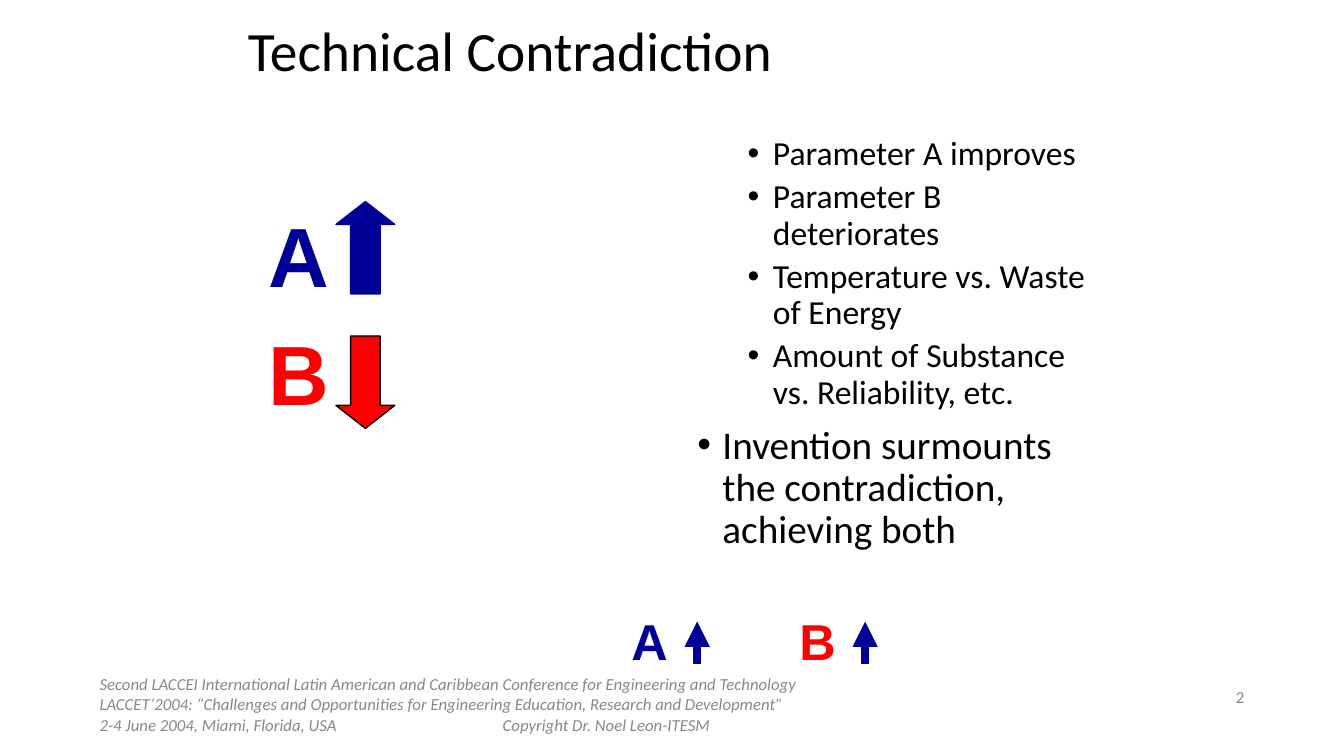
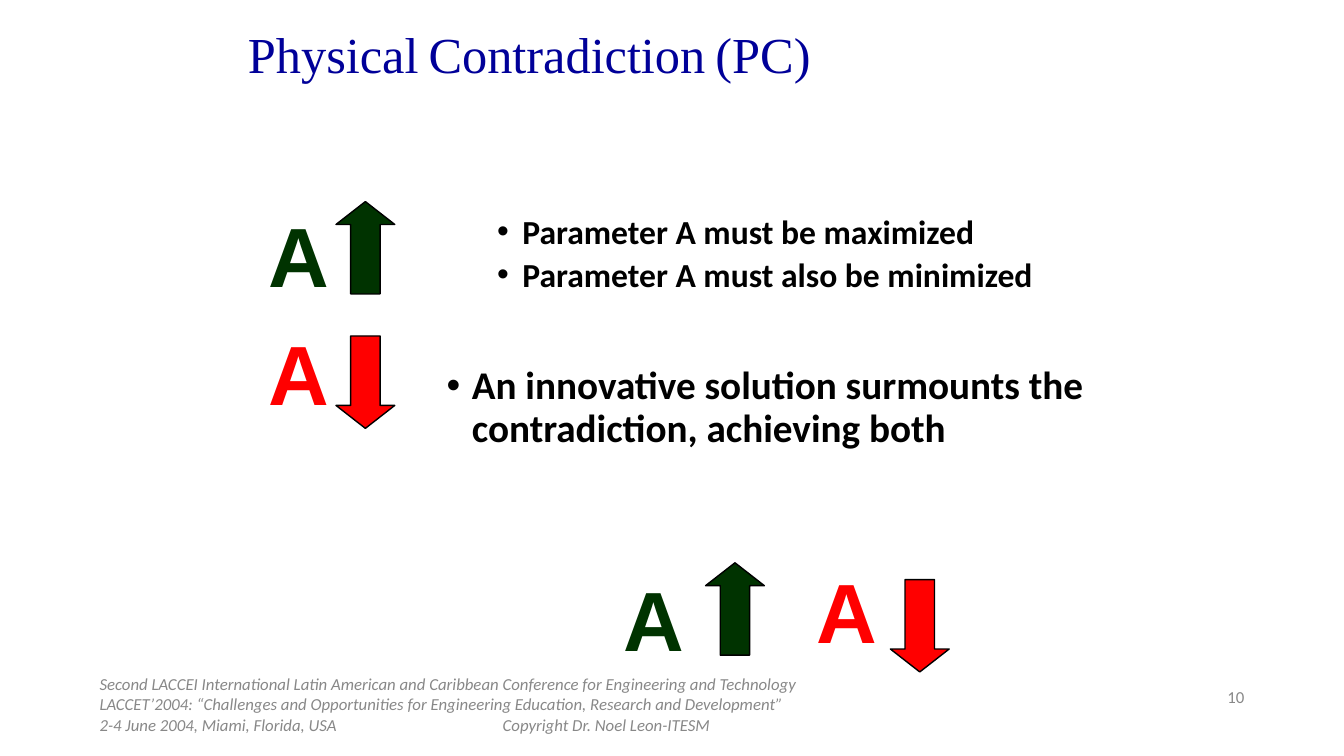
from lxml import etree
from pptx import Presentation
from pptx.dml.color import RGBColor
from pptx.enum.shapes import MSO_CONNECTOR, MSO_SHAPE
from pptx.enum.text import MSO_ANCHOR as ANCHOR, PP_ALIGN as ALIGN
from pptx.oxml.ns import qn
from pptx.util import Pt

BLACK, GRAY = "000000", "888888"
BLUE, GREEN, RED = "000099", "003300", "FF0000"
BODY_FONT, LETTER_FONT, SERIF_FONT = "Calibri", "Arial", "Times New Roman"

FOOTER = [
    "Second LACCEI International Latin American and Caribbean Conference "
    "for Engineering and Technology",
    "LACCET’2004: “Challenges and Opportunities for Engineering Education, "
    "Research and Development”",
    "2-4 June 2004, Miami, Florida, USA\t\tCopyright Dr. Noel Leon-ITESM",
]
FOOTER_TABS = (216, 288)
ARROW_SIZE = (42, 66)
BULLET_INDENT = 18
# Bullet level: (left margin, text size)
LEVELS = {0: (18, 28), 1: (54, 24)}

# Titles: runs of (text, size); bullets: (level, space before, text)
# Letters: (text, colour, size, left, top); block arrows: (direction, fill, line, left, top)
# Line arrows: (x, bottom, top)
SLIDES = [
    {
        "number": "2",
        "title": {"box": (170, 11, 652, 54), "anchor": ANCHOR.MIDDLE, "spacing": 0.9,
                  "font": BODY_FONT, "color": BLACK,
                  "runs": [("Technical Contradiction", 39.6)]},
        "body": {"box": (491, 94, 300, 324), "bold": False, "bullets": [
            (1, 0, "Parameter A improves"),
            (1, 5, "Parameter B deteriorates"),
            (1, 5, "Temperature vs. Waste of Energy"),
            (1, 5, "Amount of Substance vs. Reliability, etc."),
            (0, 10, "Invention surmounts the contradiction, achieving both"),
        ]},
        "letters": [("A", BLUE, 60, 185, 142), ("B", RED, 60, 185, 226),
                    ("A", BLUE, 36, 444, 432), ("B", RED, 36, 564, 432)],
        "block_arrows": [("up", BLUE, BLUE, 240, 144), ("down", RED, BLACK, 240, 240)],
        "line_arrows": [(498, 474, 444), (618, 474, 444)],
    },
    {
        "number": "10",
        "title": {"box": (170, -27, 666, 90), "anchor": ANCHOR.BOTTOM, "spacing": 1.0,
                  "font": SERIF_FONT, "color": BLUE,
                  "runs": [("Physical", 36), (" ", 28), ("Contradiction", 36),
                           (" ", 28), ("(PC)", 36)]},
        "body": {"box": (312, 150, 528, 264), "bold": True, "bullets": [
            (1, 0, "Parameter A must be maximized"),
            (1, 5, "Parameter A must also be minimized"),
            (0, 51, "An innovative solution surmounts the contradiction, achieving both"),
        ]},
        "letters": [("A", GREEN, 60, 185, 142), ("A", RED, 60, 185, 226),
                    ("A", GREEN, 60, 438, 402), ("A", RED, 60, 576, 396)],
        "block_arrows": [("up", GREEN, BLACK, 240, 144), ("down", RED, BLACK, 240, 240),
                         ("up", GREEN, BLACK, 504, 402), ("down", RED, BLACK, 636, 414)],
        "line_arrows": [],
    },
]


def rgb(color):
    return RGBColor.from_string(color)


def add_box(page, bounds, anchor=ANCHOR.TOP, wrap=True):
    frame = page.shapes.add_textbox(*map(Pt, bounds)).text_frame
    frame.word_wrap = wrap
    frame.vertical_anchor = anchor
    return frame


def paragraphs(frame, count):
    """Return the first paragraph of a new frame and as many more as needed."""
    return [frame.paragraphs[0]] + [frame.add_paragraph() for _ in range(count - 1)]


def add_span(para, text, size, font=BODY_FONT, color=BLACK, bold=False, italic=False):
    span = para.add_run()
    span.text = text
    span.font.name, span.font.size = font, Pt(size)
    span.font.bold, span.font.italic = bold, italic
    span.font.color.rgb = rgb(color)


def add_title(page, title):
    para = add_box(page, title["box"], title["anchor"]).paragraphs[0]
    para.line_spacing = title["spacing"]
    for text, size in title["runs"]:
        add_span(para, text, size, title["font"], title["color"])


def add_body(page, body):
    bullets = body["bullets"]
    paras = paragraphs(add_box(page, body["box"]), len(bullets))
    for para, (level, space, text) in zip(paras, bullets):
        margin, size = LEVELS[level]
        para.level, para.line_spacing, para.space_before = level, 0.9, Pt(space)
        properties = para._p.get_or_add_pPr()
        properties.set("marL", str(Pt(margin)))
        properties.set("indent", str(-Pt(BULLET_INDENT)))
        etree.SubElement(properties, qn("a:buFont"), typeface="Arial")
        etree.SubElement(properties, qn("a:buChar"), char="•")
        add_span(para, text, size, bold=body["bold"])


def add_footer(page, number):
    frame = add_box(page, (64, 488, 760, 30), ANCHOR.MIDDLE)
    for para, line in zip(paragraphs(frame, len(FOOTER)), FOOTER):
        tabs = etree.SubElement(para._p.get_or_add_pPr(), qn("a:tabLst"))
        for stop in FOOTER_TABS:
            etree.SubElement(tabs, qn("a:tab"), pos=str(Pt(stop)), algn="l")
        add_span(para, line, 12, color=GRAY, italic=True)
    para = add_box(page, (776, 480, 120, 36), ANCHOR.MIDDLE).paragraphs[0]
    para.alignment = ALIGN.RIGHT
    add_span(para, number, 12, color=GRAY)


def add_letter(page, text, color, size, left, top):
    bounds = (left, top, size * 0.72 + 15, size * 1.2 + 7)
    para = add_box(page, bounds, wrap=False).paragraphs[0]
    add_span(para, text, size, LETTER_FONT, color, bold=True)


def add_block_arrow(page, direction, fill, line, left, top):
    preset = MSO_SHAPE.UP_ARROW if direction == "up" else MSO_SHAPE.DOWN_ARROW
    arrow = page.shapes.add_shape(preset, *map(Pt, (left, top, *ARROW_SIZE)))
    arrow.adjustments[0], arrow.adjustments[1] = 0.5, 0.39
    arrow.shadow.inherit = False
    arrow.fill.solid()
    arrow.fill.fore_color.rgb = rgb(fill)
    arrow.line.color.rgb = rgb(line)
    arrow.line.width = Pt(1)


def add_line_arrow(page, x, bottom, top):
    arrow = page.shapes.add_connector(MSO_CONNECTOR.STRAIGHT, *map(Pt, (x, bottom, x, top)))
    arrow.line.color.rgb = rgb(BLUE)
    arrow.line.width = Pt(6)
    etree.SubElement(arrow.line._get_or_add_ln(), qn("a:tailEnd"), type="triangle")
    etree.SubElement(arrow._element.spPr, qn("a:effectLst"))


def main():
    deck = Presentation()
    deck.slide_width, deck.slide_height = Pt(960), Pt(540)
    for content in SLIDES:
        page = deck.slides.add_slide(deck.slide_layouts[6])
        add_footer(page, content["number"])
        add_title(page, content["title"])
        add_body(page, content["body"])
        for letter in content["letters"]:
            add_letter(page, *letter)
        for arrow in content["block_arrows"]:
            add_block_arrow(page, *arrow)
        for arrow in content["line_arrows"]:
            add_line_arrow(page, *arrow)
    deck.save("out.pptx")


if __name__ == "__main__":
    main()
